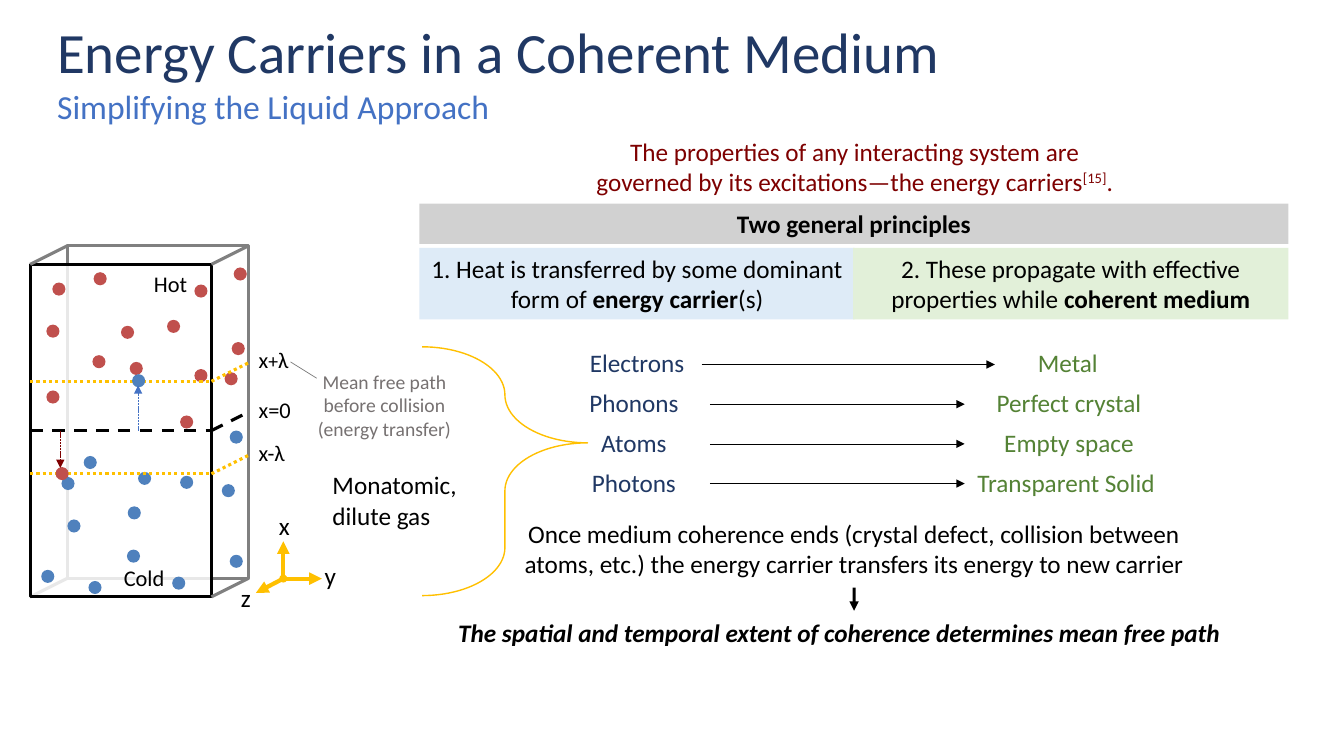
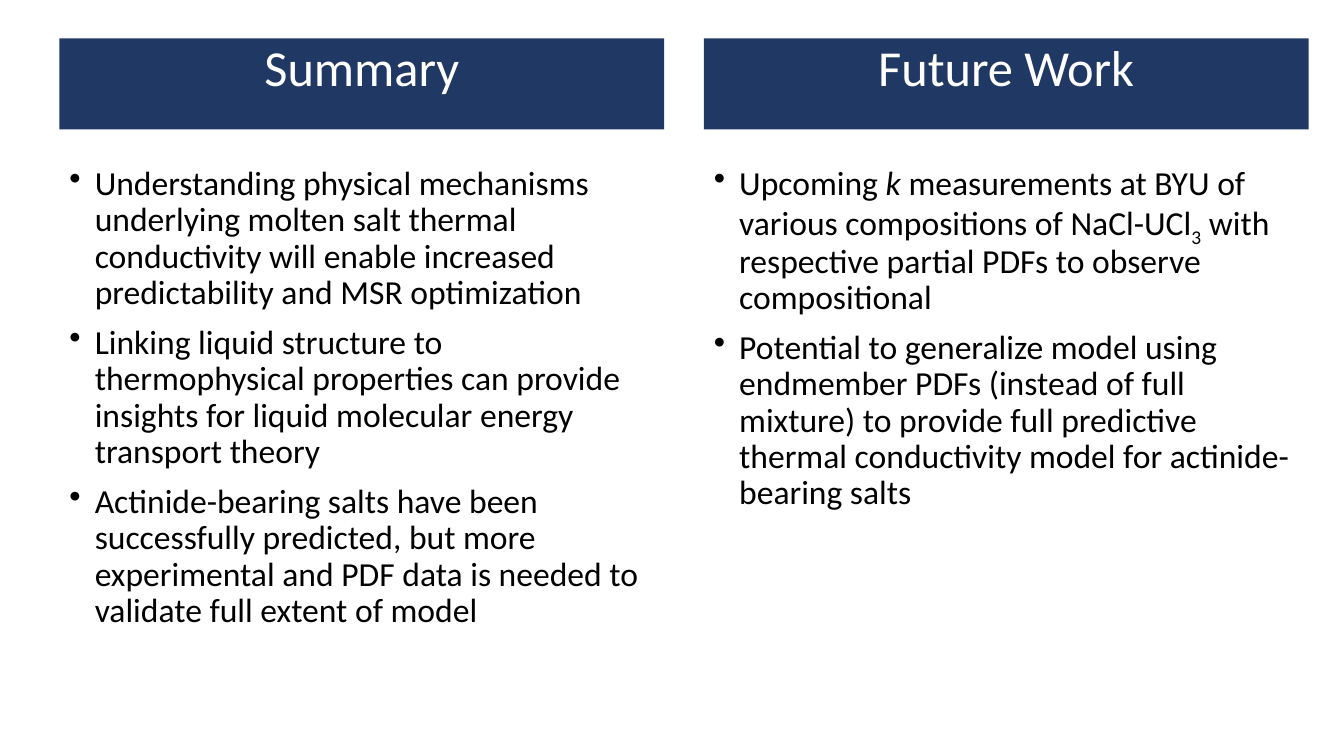
from pptx import Presentation
from pptx.dml.color import RGBColor
from pptx.enum.dml import MSO_LINE
from pptx.enum.shapes import MSO_CONNECTOR, MSO_SHAPE
from pptx.enum.text import MSO_ANCHOR, PP_ALIGN
from pptx.oxml.ns import qn
from pptx.util import Cm, Pt
from lxml.etree import SubElement

COLORS = {
    "navy": "203864", "blue": "4472C4", "black": "000000", "white": "FFFFFF",
    "light_blue": "DEEBF7", "light_green": "E2F0D9", "green": "548235",
    "silver": "A5A5A5", "gray": "808080", "leader": "7C7C7C",
    "note": "767171", "dark_red": "7E0000", "gold": "FFC000",
    "hot": "C0504D", "cold": "4F81BD",
}
FONT = "Calibri"
TITLE = {"size": 40.7, "color": "navy", "line_spacing": 0.7}
SUBTITLE = {"size": 24, "color": "blue", "line_spacing": 0.9,
            "anchor": MSO_ANCHOR.MIDDLE}
BAND = {"size": 36, "color": "white", "line_spacing": 0.9,
        "align": PP_ALIGN.CENTER}
CENTERED = {"align": PP_ALIGN.CENTER}
LABEL = {"size": 16}
DOT = 0.33


def rgb(name):
    return RGBColor.from_string(COLORS[name])


# Text: a paragraph is a string or a list of (text, font overrides)
def write(shape, paragraphs, size=18, color="black", align=PP_ALIGN.LEFT,
          anchor=MSO_ANCHOR.TOP, line_spacing=1.0, space=0, bullet=False,
          **font_format):
    frame = shape.text_frame
    frame.word_wrap = True
    frame.vertical_anchor = anchor
    for index, runs in enumerate(paragraphs):
        paragraph = frame.paragraphs[0] if index == 0 else frame.add_paragraph()
        if bullet:
            properties = paragraph._p.get_or_add_pPr()
            properties.set("marL", str(Cm(0.64)))
            properties.set("indent", str(-Cm(0.64)))
            SubElement(properties, qn("a:buChar"), char="•")
        layout = {"alignment": align, "line_spacing": line_spacing,
                  "space_before": Pt(space if index else 0)}
        for name, value in layout.items():
            setattr(paragraph, name, value)
        for text, overrides in [(runs, {})] if isinstance(runs, str) else runs:
            run = paragraph.add_run()
            run.text = text
            values = {"name": FONT, "size": size, **font_format, **overrides}
            baseline = values.pop("baseline", None)
            values["size"] = Pt(values["size"])
            for name, value in values.items():
                setattr(run.font, name, value)
            run.font.color.rgb = rgb(color)
            if baseline:
                run._r.get_or_add_rPr().set("baseline", str(baseline))


def add_text(slide, left, top, width, height, *paragraphs, **text_format):
    box = slide.shapes.add_textbox(Cm(left), Cm(top), Cm(width), Cm(height))
    write(box, paragraphs, **text_format)
    return box


def add_shape(slide, kind, left, top, width, height, fill=None, line=None,
              weight=2.25, opacity=None):
    shape = slide.shapes.add_shape(kind, Cm(left), Cm(top), Cm(width), Cm(height))
    shape.shadow.inherit = False
    if fill:
        shape.fill.solid()
        shape.fill.fore_color.rgb = rgb(fill)
        if opacity:
            color = shape._element.spPr.find(qn("a:solidFill"))[0]
            SubElement(color, qn("a:alpha"), val=str(opacity * 1000))
    else:
        shape.fill.background()
    if line:
        shape.line.color.rgb = rgb(line)
        shape.line.width = Pt(weight)
    else:
        shape.line.fill.background()
    return shape


def add_panel(slide, left, top, width, height, fill, text, opacity=None,
              **text_format):
    panel = add_shape(slide, MSO_SHAPE.RECTANGLE, left, top, width, height,
                      fill, opacity=opacity)
    write(panel, [text], **text_format)


def add_line(slide, start, end, color="black", weight=2.25, dash=None,
             arrow=False):
    points = [Cm(value) for value in (*start, *end)]
    connector = slide.shapes.add_connector(MSO_CONNECTOR.STRAIGHT, *points)
    connector.line.color.rgb = rgb(color)
    connector.line.width = Pt(weight)
    if dash:
        connector.line.dash_style = dash
    if arrow:
        SubElement(connector.line._get_or_add_ln(), qn("a:tailEnd"),
                   type="triangle")
    SubElement(connector._element.spPr, qn("a:effectLst"))
    return connector


def add_dots(slide, left, top, color, places, size=DOT):
    for x, y in places:
        add_shape(slide, MSO_SHAPE.OVAL, left + x, top + y, size, size, color)


# Gas column: left and top are the corner of the front face
def draw_gas_column(slide, left, top):
    width, height, depth, rise = 4.57, 8.38, 0.94, 0.47

    def edge(x, y, **line_format):
        add_line(slide, (left + x, top + y),
                 (left + x + depth, top + y - rise), **line_format)

    # Wireframe
    edge(0, height, color="gray")
    add_shape(slide, MSO_SHAPE.RECTANGLE, left + depth, top - rise,
              width, height, line="gray")
    add_shape(slide, MSO_SHAPE.RECTANGLE, left, top, width, height,
              "white", "black", opacity=82)
    for x, y in ((width, height), (width, 0), (0, 0)):
        edge(x, y, color="gray")

    # Particles
    add_dots(slide, left, top, "hot", [
        (0.56, 0.46), (2.29, 1.55), (0.41, 1.52), (1.6, 0.2), (4.14, 0.51),
        (3.45, 1.4), (4.14, 2.64), (1.57, 2.29), (0.41, 3.18), (2.51, 2.46),
        (3.78, 3.81), (5.13, 0.08), (5.08, 1.96), (4.9, 2.72)])
    add_dots(slide, left, top, "cold", [
        (2.72, 5.23), (2.46, 6.1), (3.78, 5.33), (3.58, 7.87), (2.44, 7.19),
        (1.47, 7.98), (1.35, 4.83), (0.94, 6.43), (0.28, 7.7), (0.79, 5.36),
        (5.03, 7.32), (4.83, 5.54), (5.03, 4.19)])

    # Planes and their labels
    upper = [("x", {}), ("+", {"size": 14}), ("λ", {})]
    for y, label, color, dash in (
            (4.19, "x=0", "black", MSO_LINE.DASH),
            (2.95, upper, "gold", MSO_LINE.ROUND_DOT),
            (5.28, "x-λ", "gold", MSO_LINE.ROUND_DOT)):
        add_line(slide, (left, top + y), (left + width, top + y), color, dash=dash)
        edge(width, y, color=color, dash=dash)
        add_text(slide, left + width + depth, top + y - 1, 1.52, 0.94,
                 label, **LABEL)
    add_text(slide, left + 2.87, top + 0.03, 1.63, 0.94, "Hot", **LABEL)
    add_text(slide, left + 2.11, top + 7.44, 1.93, 0.94, "Cold", **LABEL)

    # Particles crossing the middle plane
    add_dots(slide, left, top, "cold", [(2.57, 2.77)])
    add_dots(slide, left, top, "hot", [(0.64, 5.11)])
    for x, end, color in ((2.72, 3.05, "blue"), (0.76, 5.13, "dark_red")):
        add_line(slide, (left + x, top + 4.19), (left + x, top + end), color,
                 0.5, MSO_LINE.SQUARE_DOT, arrow=True)


# Axes: left and top are the common origin
def draw_axes(slide, left, top):
    for name, tip_x, tip_y, label_x, label_y in (
            ("x", 0, -0.94, -0.36, -1.85),
            ("y", 0.97, 0, 0.79, -0.58),
            ("z", -0.69, 0.36, -1.32, -0.03)):
        add_line(slide, (left, top), (left + tip_x, top + tip_y), "gold", 3,
                 arrow=True)
        add_text(slide, left + label_x, top + label_y, 0.89, 1.02, name)
    add_dots(slide, left - 0.1, top - 0.1, "gold", [(0, 0)], 0.2)


# Two principles under one heading
def draw_principles(slide, left, top, width):
    half = 10.97
    add_panel(slide, left, top + 1.12, half, 1.8, "light_blue",
              [("1. Heat is transferred by some dominant form of ", {}),
               ("energy carrier", {"bold": True}), ("(s)", {})], **CENTERED)
    add_panel(slide, left + width - half, top + 1.12, half, 1.8, "light_green",
              [("2. These propagate with effective properties while ", {}),
               ("coherent medium", {"bold": True})], **CENTERED)
    add_panel(slide, left, top, width, 1.02, "silver", "Two general principles",
              opacity=50, bold=True, **CENTERED)


# Carriers, each with an arrow to its medium
def draw_carriers(slide, left, top):
    height, pitch = 1.09, 1.0
    rows = (
        ("Electrons", 0.37, 3.25, "Metal", 11.01, 3.68),
        ("Phonons", 0, 3.83, "Perfect crystal", 10.25, 5.26),
        ("Atoms", 0, 3.83, "Empty space", 10.25, 5.26),
        ("Photons", 0, 3.83, "Transparent Solid", 10.25, 5.11))
    for index, (carrier, x, width, medium, medium_x, medium_width) in enumerate(rows):
        y = top + index * pitch
        source = add_text(slide, left + x, y, width, height, carrier,
                          color="navy", **CENTERED)
        target = add_text(slide, left + medium_x, y, medium_width, height,
                          medium, color="green", **CENTERED)
        middle = y + height / 2
        arrow = add_line(slide, (left + x + width, middle),
                         (left + medium_x, middle), weight=0.5, arrow=True)
        arrow.begin_connect(source, 3)
        arrow.end_connect(target, 1)


# Explanation and conclusion
def draw_conclusion(slide, left, top):
    explanation = add_text(
        slide, left + 1.9, top, 17.55, 1.88,
        "Once medium coherence ends (crystal defect, collision between atoms, "
        "etc.) the energy carrier transfers its energy to new carrier", **CENTERED)
    add_text(slide, left, top + 2.49, 20.6, 1.02,
             "The spatial and temporal extent of coherence determines mean free path",
             bold=True, italic=True, **CENTERED)
    center = left + 1.9 + 17.55 / 2
    arrow = add_line(slide, (center, top + 1.88), (center, top + 2.46), arrow=True)
    arrow.begin_connect(explanation, 2)


def build_carriers_slide(slide):
    add_text(slide, 1.19, 0.76, 23.55, 1.57,
             "Energy Carriers in a Coherent Medium", **TITLE)
    add_text(slide, 1.19, 1.98, 15.21, 1.5,
             "Simplifying the Liquid Approach", **SUBTITLE)
    add_text(slide, 14.35, 3.3, 14.38, 1.8,
             [("The properties of any interacting system are governed by its "
               "excitations—the energy carriers", {}),
              ("[15]", {"baseline": 30000}), (".", {})],
             color="dark_red", **CENTERED)
    draw_principles(slide, 10.57, 5.13, 21.9)
    draw_carriers(slide, 14.06, 8.64)
    draw_gas_column(slide, 0.76, 6.66)
    draw_axes(slide, 7.14, 14.58)

    # Notes beside the column
    add_text(slide, 8.13, 11.71, 4.98, 1.8, "Monatomic, dilute gas")
    add_text(slide, 7.72, 9.19, 3.94, 2.06,
             "Mean free path before collision (energy transfer)",
             size=14, color="note", **CENTERED)
    add_line(slide, (7.32, 9.12), (7.98, 9.53), "leader", 0.5)
    brace = add_shape(slide, MSO_SHAPE.RIGHT_BRACE, 10.64, 8.74, 4.17, 6.27,
                      line="gold", weight=1)
    brace.adjustments[0] = 0.457
    brace.adjustments[1] = 0.386
    draw_conclusion(slide, 10.85, 12.93)


# Heading band with a bulleted list below it
def draw_column(slide, left, top, width, heading, items):
    add_panel(slide, left, top, width, 2.29, "navy", heading, **BAND)
    add_text(slide, left, top + 3.1, width, 13.46, *items, size=24,
             line_spacing=0.9, space=10, bullet=True)


def build_summary_slide(slide):
    columns = (
        ("Summary", [
            "Understanding physical mechanisms underlying molten salt thermal "
            "conductivity will enable increased predictability and MSR optimization",
            "Linking liquid structure to thermophysical properties can provide "
            "insights for liquid molecular energy transport theory",
            "Actinide-bearing salts have been successfully predicted, but more "
            "experimental and PDF data is needed to validate full extent of model"]),
        ("Future Work", [
            [("Upcoming ", {}), ("k", {"italic": True}),
             (" measurements at BYU of various compositions of NaCl-UCl", {}),
             ("3", {"baseline": -25000}),
             (" with respective partial PDFs to observe compositional", {})],
            "Potential to generalize model using endmember PDFs (instead of full "
            "mixture) to provide full predictive thermal conductivity model for "
            "actinide-bearing salts"]))
    width, gap = 15.24, 1.0
    for index, (heading, items) in enumerate(columns):
        draw_column(slide, 1.5 + index * (width + gap), 0.97, width, heading, items)


def main():
    presentation = Presentation()
    presentation.slide_width, presentation.slide_height = Cm(33.87), Cm(19.05)
    for build in (build_carriers_slide, build_summary_slide):
        build(presentation.slides.add_slide(presentation.slide_layouts[6]))
    presentation.save("out.pptx")


if __name__ == "__main__":
    main()
